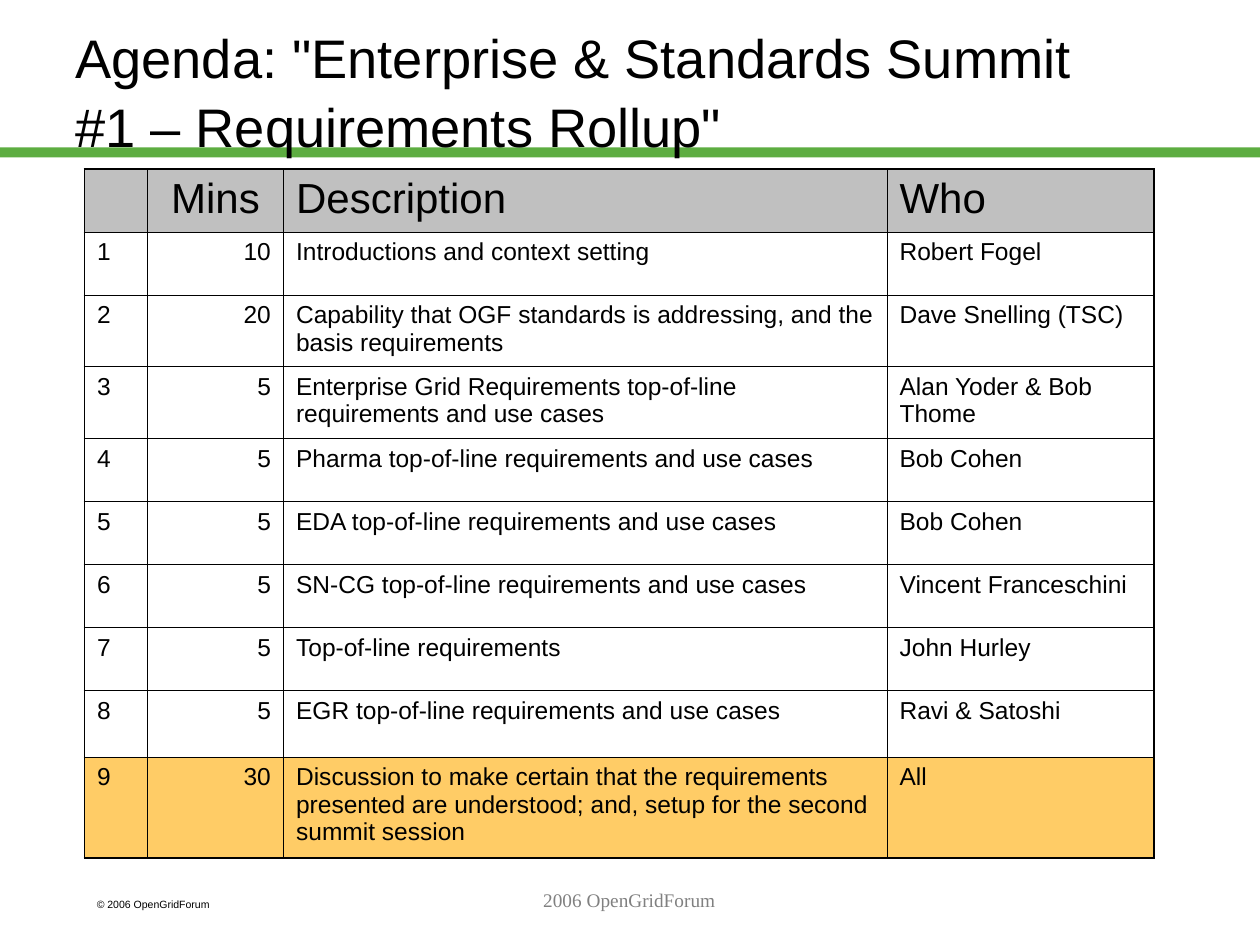
from lxml import etree
from pptx import Presentation
from pptx.dml.color import RGBColor
from pptx.enum.shapes import MSO_SHAPE
from pptx.enum.text import MSO_ANCHOR, PP_ALIGN
from pptx.oxml.ns import qn
from pptx.util import Inches, Pt

LEFT, CENTER, RIGHT = PP_ALIGN.LEFT, PP_ALIGN.CENTER, PP_ALIGN.RIGHT
TOP, MIDDLE = MSO_ANCHOR.TOP, MSO_ANCHOR.MIDDLE
RECTANGLE = MSO_SHAPE.RECTANGLE

THEME = {
    "ink": "000000", "muted": "808080", "bar": "5DAD41",
    "header": "C0C0C0", "body": None, "highlight": "FFCC66",
    "sans": "Arial", "serif": "Times New Roman",
    "title": 31, "heading": 24, "text": 14, "footer": 11, "copyright": 6,
    "outer": 1.08, "inner": 0.45,
}


def write_text(frame, text, size, align=LEFT, font="sans", color="ink"):
    frame.word_wrap = True
    para = frame.paragraphs[0]
    para.alignment = align
    span = para.add_run()
    span.text = text
    for name, value in {"size": Pt(THEME[size]), "name": THEME[font]}.items():
        setattr(span.font, name, value)
    span.font.color.rgb = RGBColor.from_string(THEME[color])
    return para


def add_border(cell, side, weight):
    line = etree.Element(qn(f"a:ln{side}"), w=str(Pt(THEME[weight])))
    fill = etree.SubElement(line, qn("a:solidFill"))
    etree.SubElement(fill, qn("a:srgbClr"), val=THEME["ink"])
    cell.get_or_add_tcPr().append(line)


deck = Presentation()
deck.slide_width, deck.slide_height = Inches(10), Inches(7.5)
width, height = deck.slide_width, deck.slide_height
slide = deck.slides.add_slide(deck.slide_layouts[6])
shapes = slide.shapes

bar = shapes.add_shape(RECTANGLE, 0, int(height * 0.156), width, int(height * 0.0105))
bar.shadow.inherit = False
bar.fill.solid()
bar.fill.fore_color.rgb = RGBColor.from_string(THEME["bar"])
bar.line.fill.background()

boxes = [
    ((0.067, 0.944, 0.15, 0.027), TOP, None,
     {"text": "© 2006 OpenGridForum", "size": "copyright"}),
    ((0.05, 0.023, 0.85, 0.144), MIDDLE, 1.05,
     {"text": 'Agenda: "Enterprise & Standards Summit #1 – Requirements Rollup"', "size": "title"}),
    ((0.208, 0.933, 0.583, 0.067), TOP, None,
     {"text": "2006 OpenGridForum", "size": "footer", "align": CENTER, "font": "serif", "color": "muted"}),
]
for (left, top, across, down), anchor, spacing, format_values in boxes:
    box = shapes.add_textbox(int(width * left), int(height * top), int(width * across), int(height * down))
    box.text_frame.vertical_anchor = anchor
    para = write_text(box.text_frame, **format_values)
    para.line_spacing = spacing

agenda = [
    ("", "Mins", "Description", "Who"),
    ("1", "10", "Introductions and context setting", "Robert Fogel"),
    ("2", "20", "Capability that OGF standards is addressing, and the basis requirements", "Dave Snelling (TSC)"),
    ("3", "5", "Enterprise Grid Requirements top-of-line requirements and use cases", "Alan Yoder & Bob Thome"),
    ("4", "5", "Pharma top-of-line requirements and use cases", "Bob Cohen"),
    ("5", "5", "EDA top-of-line requirements and use cases", "Bob Cohen"),
    ("6", "5", "SN-CG top-of-line requirements and use cases", "Vincent Franceschini"),
    ("7", "5", "Top-of-line requirements", "John Hurley"),
    ("8", "5", "EGR top-of-line requirements and use cases", "Ravi & Satoshi"),
    ("9", "30", "Discussion to make certain that the requirements presented are understood; "
     "and, setup for the second summit session", "All"),
]
column_widths = [0.5, 1.08, 4.79, 2.12]
row_heights = [0.5, 0.5, 0.57, 0.57, 0.5, 0.5, 0.5, 0.5, 0.53, 0.8]
last_row, last_column = len(row_heights) - 1, len(column_widths) - 1

table = shapes.add_table(
    len(row_heights), len(column_widths), Inches(0.67), Inches(1.34),
    Inches(sum(column_widths)), Inches(sum(row_heights))).table
for column, size in zip(table.columns, column_widths):
    column.width = Inches(size)
for row, size in zip(table.rows, row_heights):
    row.height = Inches(size)

row_fills = {0: "header", last_row: "highlight"}
for row, entries in enumerate(agenda):
    for column, entry in enumerate(entries):
        cell = table.cell(row, column)
        align = LEFT if column != 1 else CENTER if row == 0 else RIGHT
        if entry:
            write_text(cell.text_frame, entry, "text" if row else "heading", align)
        edges = {"L": column == 0, "R": column == last_column, "T": row == 0, "B": row == last_row}
        for side, is_outer in edges.items():
            add_border(cell._tc, side, "outer" if is_outer else "inner")
        fill = THEME[row_fills.get(row, "body")]
        if fill:
            cell.fill.solid()
            cell.fill.fore_color.rgb = RGBColor.from_string(fill)
        else:
            cell.fill.background()

deck.save("out.pptx")
